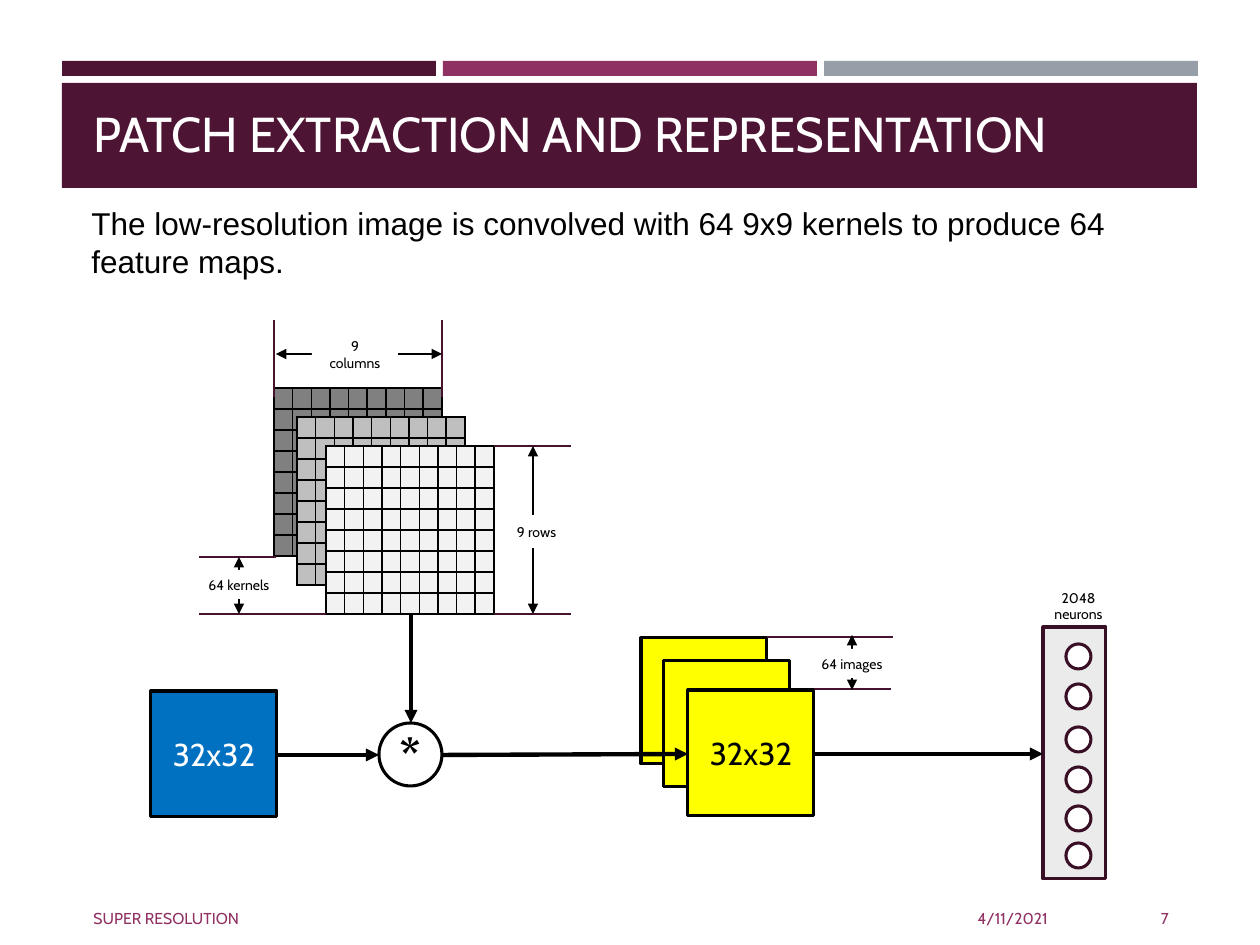
from dataclasses import dataclass
from typing import Any

from lxml import etree
from pptx import Presentation
from pptx import util as u
from pptx.dml.color import RGBColor
from pptx.enum import shapes, text
from pptx.oxml import ns

SCALE = u.Inches(1) / 126
BLACK = RGBColor(0x00, 0x00, 0x00)
WHITE = RGBColor(0xFF, 0xFF, 0xFF)
PLUM = RGBColor(0x4D, 0x14, 0x34)
MAGENTA = RGBColor(0x90, 0x31, 0x63)
SLATE = RGBColor(0x96, 0x9F, 0xA7)
BLUE = RGBColor(0x00, 0x70, 0xC0)
YELLOW = RGBColor(0xFF, 0xFF, 0x00)
DARK_GRAY = RGBColor(0x80, 0x80, 0x80)
MID_GRAY = RGBColor(0xBF, 0xBF, 0xBF)
PALE_GRAY = RGBColor(0xF2, 0xF2, 0xF2)
LAYER_GRAY = RGBColor(0xEB, 0xEB, 0xEB)
WITNESS = RGBColor(0x45, 0x12, 0x2F)
NEURON_EDGE = RGBColor(0x39, 0x0F, 0x26)

RECTANGLE = shapes.MSO_SHAPE.RECTANGLE
OVAL = shapes.MSO_SHAPE.OVAL
NODE = shapes.MSO_SHAPE.FLOWCHART_CONNECTOR
LEFT, CENTER, RIGHT = text.PP_ALIGN.LEFT, text.PP_ALIGN.CENTER, text.PP_ALIGN.RIGHT
TOP, MIDDLE, BOTTOM = text.MSO_ANCHOR.TOP, text.MSO_ANCHOR.MIDDLE, text.MSO_ANCHOR.BOTTOM
MARGINS = ("margin_left", "margin_top", "margin_right", "margin_bottom")
NO_MARGINS = dict.fromkeys(MARGINS, 0)


def px(*lengths):
    return [u.Emu(round(length * SCALE)) for length in lengths]


def apply(target, values):
    for name, value in values.items():
        setattr(target, name, value)


def add_xml(parent, tag, **attributes):
    return etree.SubElement(parent, ns.qn(tag), **attributes)


@dataclass
class Sketch:
    """Draws styled elements on the current slide."""

    slide: Any
    font: str = "Cabin"
    outline: float = 1.75
    flow: float = 2.5
    thin: float = 1

    def label(self, shape, words, size, color, align=CENTER, anchor=MIDDLE, font=None, bold=False, **frame_format):
        frame = shape.text_frame
        apply(frame, {"word_wrap": True, "vertical_anchor": anchor, **frame_format})
        paragraph = frame.paragraphs[0]
        paragraph.alignment = align
        run = paragraph.add_run()
        run.text = words
        apply(run.font, {"name": font or self.font, "size": u.Pt(size), "bold": bold})
        run.font.color.rgb = color

    def text(self, box, words, size, color, **options):
        self.label(self.slide.shapes.add_textbox(*px(*box)), words, size, color, **options)

    def shape(self, box, fill=None, edge=None, kind=RECTANGLE):
        shape = self.slide.shapes.add_shape(kind, *px(*box))
        shape.shadow.inherit = False
        if fill is None:
            shape.fill.background()
        else:
            shape.fill.solid()
            shape.fill.fore_color.rgb = fill
        if edge is None:
            shape.line.fill.background()
        else:
            shape.line.color.rgb = edge
            shape.line.width = u.Pt(self.outline)
        return shape

    def line(self, ends, color, width, heads=()):
        connector = self.slide.shapes.add_connector(shapes.MSO_CONNECTOR.STRAIGHT, *px(*ends))
        connector.line.color.rgb = color
        connector.line.width = u.Pt(width)
        properties = connector._element.spPr
        for head in heads:
            add_xml(properties.find(ns.qn("a:ln")), head, type="triangle")
        add_xml(properties, "a:effectLst")

    def arrow(self, *ends):
        self.line(ends, BLACK, self.flow, ["a:tailEnd"])

    def dimension(self, words, box, span, witnesses):
        for witness in witnesses:
            self.line(witness, WITNESS, self.thin)
        self.line(span, BLACK, self.thin, ["a:headEnd", "a:tailEnd"])
        self.label(self.shape(box, WHITE), words, 8, BLACK)

    def kernel(self, left, top, fill, rows=8, columns=9, size=168):
        table = self.slide.shapes.add_table(rows, columns, *px(left, top, size, size)).table
        apply(table, {"first_row": False, "horz_banding": False})
        for cell in table.iter_cells():
            apply(cell, NO_MARGINS)
            cell.text_frame.paragraphs[0]._p.get_or_add_endParaRPr().set("sz", "500")
            properties = cell._tc.get_or_add_tcPr()
            for side in ("a:lnL", "a:lnR", "a:lnT", "a:lnB"):
                border = add_xml(properties, side, w=str(u.Pt(self.thin)))
                add_xml(add_xml(border, "a:solidFill"), "a:srgbClr", val=str(BLACK))
            cell.fill.solid()
            cell.fill.fore_color.rgb = fill


def main():
    presentation = Presentation()
    presentation.slide_width, presentation.slide_height = px(1260, 945)
    sketch = Sketch(presentation.slides.add_slide(presentation.slide_layouts[6]))

    for index, color in enumerate((PLUM, MAGENTA, SLATE)):
        sketch.shape((62 + 381 * index, 61, 374, 15), color)
    sketch.shape((62, 83, 1135, 105), PLUM)
    sketch.text((81, 94, 1101, 75), "PATCH EXTRACTION AND REPRESENTATION", 28, WHITE, align=LEFT, anchor=BOTTOM)
    sketch.text(
        (79, 198, 1101, 89),
        "The low-resolution image is convolved with 64 9x9 kernels to produce 64 feature maps.",
        18, BLACK, align=LEFT, anchor=TOP, font="Arial",
    )
    for box, words, align in (
        ((766, 893, 294, 50), "4/11/2021", RIGHT),
        ((81, 893, 672, 50), "SUPER RESOLUTION", LEFT),
        ((1075, 893, 106, 50), "7", RIGHT),
    ):
        sketch.text(box, words, 9, MAGENTA, align=align)

    sketch.label(sketch.shape((151, 691, 126, 126), BLUE, BLACK), "32x32", 18, WHITE)
    sketch.arrow(277, 755, 379, 755)
    for left, top, color in ((274, 388, DARK_GRAY), (297, 417, MID_GRAY), (326, 446, PALE_GRAY)):
        sketch.kernel(left, top, color)
    sketch.dimension("64 kernels", (190, 570, 98, 29), (239, 557, 239, 614),
                     [(276, 557, 199, 557), (326, 614, 199, 614)])
    sketch.dimension("9 rows", (501, 515, 71, 33), (533, 446, 533, 614),
                     [(571, y, 494, y) for y in (446, 614)])
    sketch.dimension("9 columns", (312, 338, 86, 33), (276, 354, 442, 354),
                     [(x, 320, x, 397) for x in (442, 274)])
    sketch.arrow(411, 614, 411, 723)

    for left, top in ((641, 638), (664, 661), (688, 690)):
        feature_map = sketch.shape((left, top, 126, 126), YELLOW, BLACK)
    sketch.label(feature_map, "32x32", 18, BLACK)
    sketch.arrow(442, 755, 688, 754)
    sketch.dimension("64 images", (803, 649, 98, 29), (852, 635, 852, 690),
                     [(891, 689, 814, 689), (893, 637, 767, 637)])

    sketch.shape((1043, 627, 63, 252), LAYER_GRAY, NEURON_EDGE)
    for top in (644, 684, 727, 767, 806, 843):
        sketch.shape((1066, top, 25, 25), WHITE, NEURON_EDGE, OVAL)
    sketch.arrow(814, 754, 1043, 754)
    sketch.text((1032, 587, 93, 38), "2048 neurons", 8, BLACK)
    convolution = sketch.shape((379, 723, 63, 63), edge=BLACK, kind=NODE)
    sketch.label(convolution, "*", 28, BLACK, bold=True, **NO_MARGINS)

    presentation.save("out.pptx")


if __name__ == "__main__":
    main()
